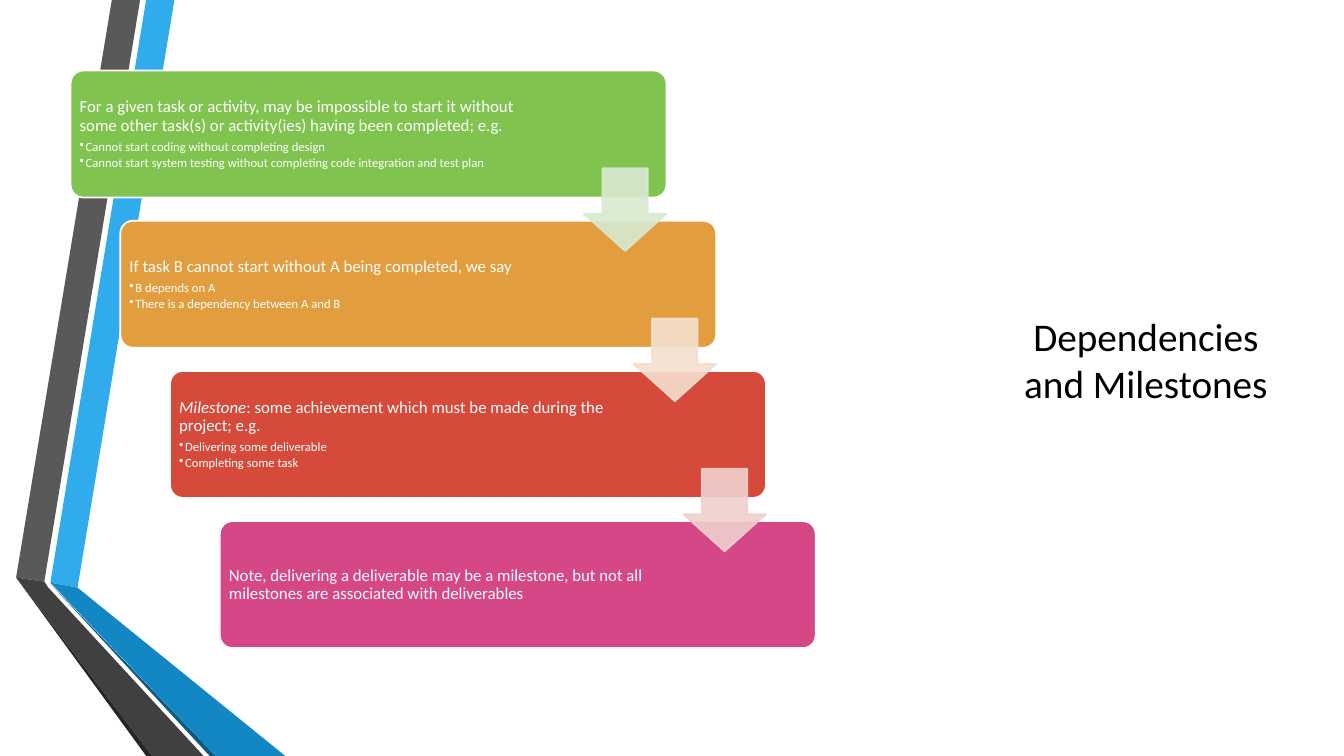
from lxml import etree
from pptx import Presentation
from pptx import util as u
from pptx.dml.color import RGBColor
from pptx.enum import shapes, text
from pptx.oxml.ns import qn

HUES = {
    "sky": "30ACEC", "gray": "595959", "coal": "262626", "navy": "0C5A82",
    "blue": "1287C3", "dark": "404040", "white": "FFFFFF", "black": "000000",
    "green": "80C34F", "amber": "E29D3E", "red": "D64A3B", "pink": "D64787",
    "mint": "D8E9D0", "sand": "F4DFCE", "rose": "F0D0CE",
}
inch = u.Inches


def paint(shape, fill, edge=None, alpha=None):
    """Give a shape a flat fill, an optional edge and an opacity in percent."""
    shape.shadow.inherit = False
    shape.fill.solid()
    shape.fill.fore_color.rgb = RGBColor.from_string(HUES[fill])
    if edge:
        shape.line.width = u.Pt(1.25)
        shape.line.color.rgb = RGBColor.from_string(HUES[edge])
    else:
        shape.line.fill.background()
    if alpha:
        for hue in shape._element.spPr.iter(qn("a:srgbClr")):
            etree.SubElement(hue, qn("a:alpha")).set("val", str(alpha * 1000))


def style(para, size, hue):
    para.font.size = u.Pt(size)
    para.font.name = "Calibri"
    para.font.color.rgb = RGBColor.from_string(HUES[hue])


deck = Presentation()
deck.slide_width, deck.slide_height = inch(13.33), inch(7.5)
slide = deck.slides.add_slide(deck.slide_layouts[5])
parts = slide.shapes

# Folded ribbons on the left
ribbons = [
    ("sky", [(0.5, 5.78), (0.77, 5.83), (1.73, 0), (1.45, 0)]),
    ("gray", [(1.39, 0), (1.11, 0), (0.16, 5.73), (0.44, 5.77)]),
    ("coal", [(0.16, 5.73), (1.45, 7.5), (1.51, 7.5)]),
    ("navy", [(0.5, 5.79), (2.08, 7.5), (2.14, 7.5)]),
    ("blue", [(0.5, 5.78), (2.14, 7.5), (2.83, 7.5), (0.77, 5.83)]),
    ("dark", [(2.02, 7.5), (0.48, 5.83), (0.44, 5.77), (0.16, 5.73), (1.51, 7.5)]),
]
for hue, spots in ribbons:
    spots = [(inch(x), inch(y)) for x, y in spots]
    pen = parts.build_freeform(*spots[0])
    pen.add_line_segments(spots[1:])
    paint(pen.convert_to_shape(), hue)

# Title
title = parts.title
title.left, title.top = inch(10.03), inch(1.17)
title.width, title.height = inch(2.67), inch(4.79)
frame = title.text_frame
frame.text = "Dependencies and Milestones"
frame.word_wrap = True
frame.auto_size = text.MSO_AUTO_SIZE.NONE
frame.vertical_anchor = text.MSO_ANCHOR.MIDDLE
frame.paragraphs[0].alignment = text.PP_ALIGN.CENTER
style(frame.paragraphs[0], 28, "black")

# Staircase of cards: (colour, text width, italic lead, statement, bullets)
LEFT, TOP, WIDE, HIGH = 0.7, 0.7, 5.91, 1.26
RUN, RISE = 1.48 / 3, 1.49
PAD = 0.04
cards = [
    ("green", 4.44, "",
     "For a given task or activity, may be impossible to start it without "
     "some other task(s) or activity(ies) having been completed; e.g.",
     ["Cannot start coding without completing design",
      "Cannot start system testing without completing code integration and test plan"]),
    ("amber", 4.52, "", "If task B cannot start without A being completed, we say",
     ["B depends on A", "There is a dependency between A and B"]),
    ("red", 4.52, "Milestone",
     ": some achievement which must be made during the project; e.g.",
     ["Delivering some deliverable", "Completing some task"]),
    ("pink", 4.52, "",
     "Note, delivering a deliverable may be a milestone, but not all "
     "milestones are associated with deliverables", []),
]
for step, (hue, span, lead, line, points) in enumerate(cards):
    x, y = LEFT + step * RUN, TOP + step * RISE
    card = parts.add_shape(shapes.MSO_SHAPE.ROUNDED_RECTANGLE,
                           inch(x), inch(y), inch(WIDE), inch(HIGH))
    card.adjustments[0] = 0.1
    paint(card, hue, "white")

    box = parts.add_textbox(inch(x + PAD), inch(y + PAD),
                            inch(span), inch(HIGH - 2 * PAD))
    frame = box.text_frame
    frame.word_wrap = True
    frame.vertical_anchor = text.MSO_ANCHOR.MIDDLE
    frame.margin_left = frame.margin_right = inch(0.05)
    frame.margin_top = frame.margin_bottom = inch(0.05)
    para = frame.paragraphs[0]
    if lead:
        para.add_run().text = lead
        para.runs[0].font.italic = True
    para.add_run().text = line
    para.line_spacing, para.space_after = 0.9, u.Pt(4.2)
    style(para, 12, "white")
    for point in points:
        para = frame.add_paragraph()
        para.text, para.level = point, 1
        props = para._p.get_or_add_pPr()
        props.set("marL", str(inch(0.06)))
        props.set("indent", str(-inch(0.06)))
        etree.SubElement(props, qn("a:buChar")).set("char", "•")
        para.line_spacing, para.space_after = 0.9, u.Pt(1.4)
        style(para, 9, "white")

# Arrows leading from each card to the next
SIZE = 0.82
for step, hue in enumerate(["mint", "sand", "rose"]):
    arrow = parts.add_shape(shapes.MSO_SHAPE.DOWN_ARROW,
                            inch(LEFT + WIDE - SIZE + step * RUN),
                            inch(1.67 + step * RISE), inch(SIZE), inch(SIZE))
    arrow.adjustments[0], arrow.adjustments[1] = 0.55, 0.45
    paint(arrow, hue, hue, 90)

deck.save("out.pptx")
